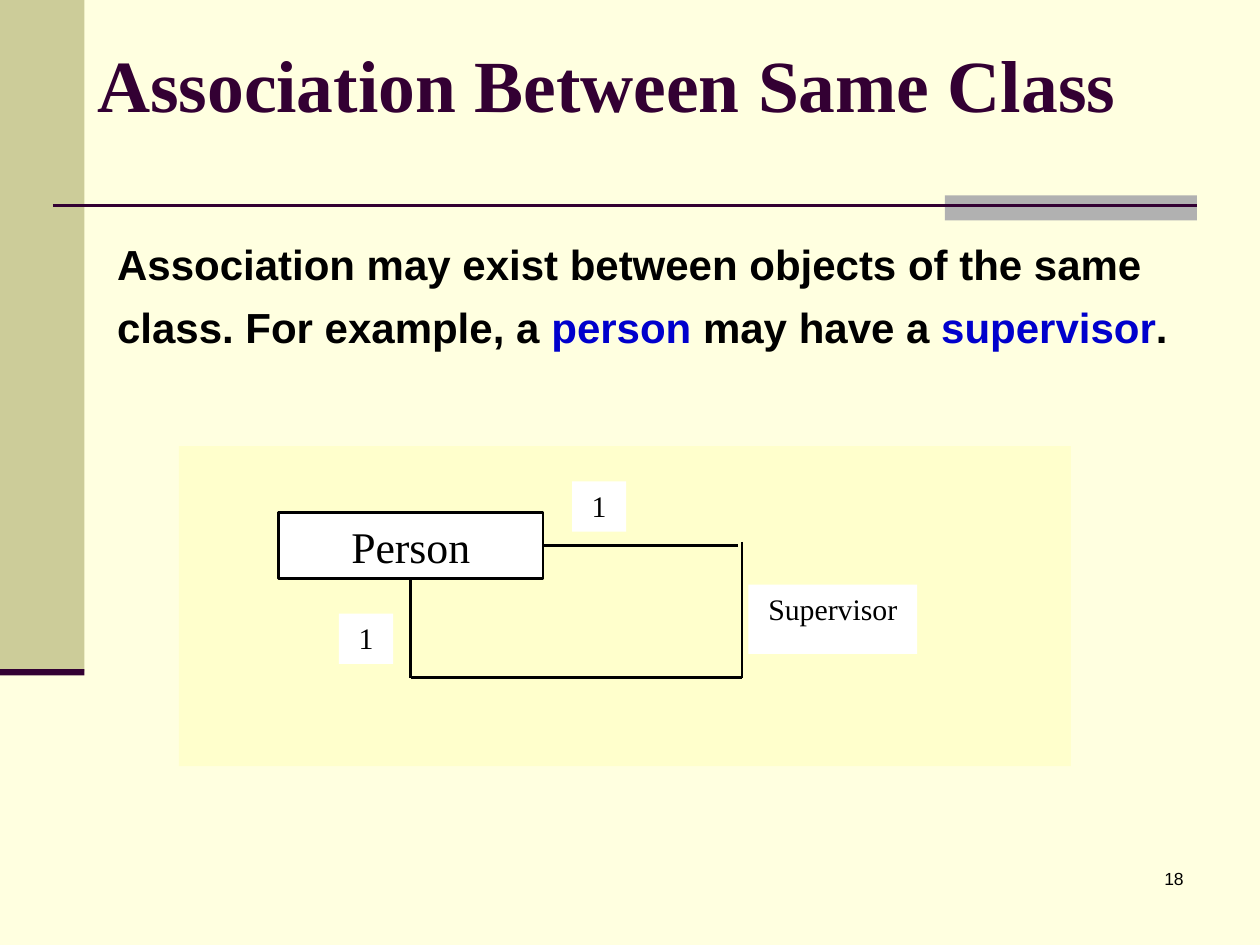
import pptx
import pptx.dml.color
import pptx.enum.shapes
import pptx.enum.text
import pptx.oxml.ns
import pptx.util
from lxml import etree
from pptx.util import Inches

COLORS = {
    "page": "FFFFE0", "band": "CCCC99", "gray": "B1B1B1", "plum": "330033",
    "panel": "FFFFCC", "white": "FFFFFF", "black": "000000", "blue": "0000CC",
}
SERIF, SANS = "Times New Roman", "Arial"
CENTER = pptx.enum.text.PP_ALIGN.CENTER
TOP, MIDDLE = pptx.enum.text.MSO_ANCHOR.TOP, pptx.enum.text.MSO_ANCHOR.MIDDLE


def rgb(name):
    return pptx.dml.color.RGBColor.from_string(COLORS[name])


class SlideBuilder:
    def __init__(self, slide):
        self.slide = slide
        self.shapes = slide.shapes

    def background(self, color):
        fill = self.slide.background.fill
        fill.solid()
        fill.fore_color.rgb = rgb(color)

    def set_text(self, shape, runs, size, font, bold=False, align=None, anchor=TOP, inset=0, spacing=None):
        """Fill a shape with one paragraph of (text, color) runs."""
        frame = shape.text_frame
        frame.word_wrap = True
        frame.vertical_anchor = anchor
        frame.margin_left = frame.margin_right = frame.margin_bottom = 0
        frame.margin_top = Inches(inset)
        paragraph = frame.paragraphs[0]
        paragraph.alignment = align
        paragraph.line_spacing = spacing
        paragraph.font.size = pptx.util.Pt(size)
        paragraph.font.name = font
        paragraph.font.bold = bold
        for text, color in runs:
            run = paragraph.add_run()
            run.text = text
            run.font.color.rgb = rgb(color)

    def text(self, left, top, width, height, runs, size, font, **style):
        box = self.shapes.add_textbox(*map(Inches, (left, top, width, height)))
        self.set_text(box, runs, size, font, **style)

    def rect(self, left, top, width, height, fill, line=None):
        shape = self.shapes.add_shape(
            pptx.enum.shapes.MSO_SHAPE.RECTANGLE, *map(Inches, (left, top, width, height)))
        shape.shadow.inherit = False
        shape.fill.solid()
        shape.fill.fore_color.rgb = rgb(fill)
        if line:
            shape.line.color.rgb = rgb(line)
            shape.line.width = pptx.util.Pt(1.58)
        else:
            shape.line.fill.background()
        return shape

    def label(self, left, top, width, height, text):
        tag = self.rect(left, top, width, height, "white")
        self.set_text(tag, [(text, "black")], 17, SERIF, align=CENTER, inset=0.05)

    def line(self, start, end, color="black", width=1.58):
        connector = self.shapes.add_connector(
            pptx.enum.shapes.MSO_CONNECTOR.STRAIGHT, *map(Inches, start + end))
        connector.line.color.rgb = rgb(color)
        connector.line.width = pptx.util.Pt(width)
        properties = connector._element.spPr
        etree.SubElement(properties, pptx.oxml.ns.qn("a:effectLst"))
        return connector


def main():
    deck = pptx.Presentation()
    deck.slide_width, deck.slide_height = Inches(10), Inches(7.5)
    page = SlideBuilder(deck.slides.add_slide(deck.slide_layouts[6]))

    # Page decoration
    page.background("page")
    page.rect(0, 0, 0.67, 5.33, "band")
    page.rect(7.5, 1.55, 2, 0.2, "gray")
    page.line((0.42, 1.63), (9.5, 1.63), "plum", 1.5)
    page.rect(0, 5.31, 0.67, 0.05, "plum")

    # Title, statement and page number
    page.text(0.77, 0.31, 8.68, 1.1, [("Association Between Same Class", "plum")], 42, SERIF, bold=True)
    statement = [
        ("Association may exist between objects of the same class. For example, a ", "black"),
        ("person", "blue"), (" may have a ", "black"), ("supervisor", "blue"), (".", "black"),
    ]
    page.text(0.93, 1.8, 8.5, 0.99, statement, 24, SANS, bold=True, spacing=1.24)
    page.text(9.24, 6.89, 0.18, 0.19, [("18", "black")], 10, SANS)

    # Class box on its panel
    page.rect(1.42, 3.54, 7.08, 2.54, "panel")
    person = page.rect(2.21, 4.07, 2.1, 0.52, "white", "black")
    page.set_text(person, [("Person", "black")], 25, SERIF, align=CENTER, anchor=MIDDLE)

    # Association loop from the right side back to the bottom
    loop_x, loop_y, person_x = 5.89, 5.38, 3.26
    page.line((4.31, 4.33), (5.86, 4.33)).begin_connect(person, 3)
    page.line((loop_x, 4.3), (loop_x, loop_y))
    page.line((person_x, loop_y), (loop_x, loop_y))
    page.line((person_x, 4.59), (person_x, loop_y)).begin_connect(person, 2)

    # Role and multiplicities
    page.label(5.94, 4.64, 1.34, 0.55, "Supervisor")
    for left, top in ((4.54, 3.82), (2.69, 4.87)):
        page.label(left, top, 0.43, 0.4, "1")

    deck.save("out.pptx")


if __name__ == "__main__":
    main()
